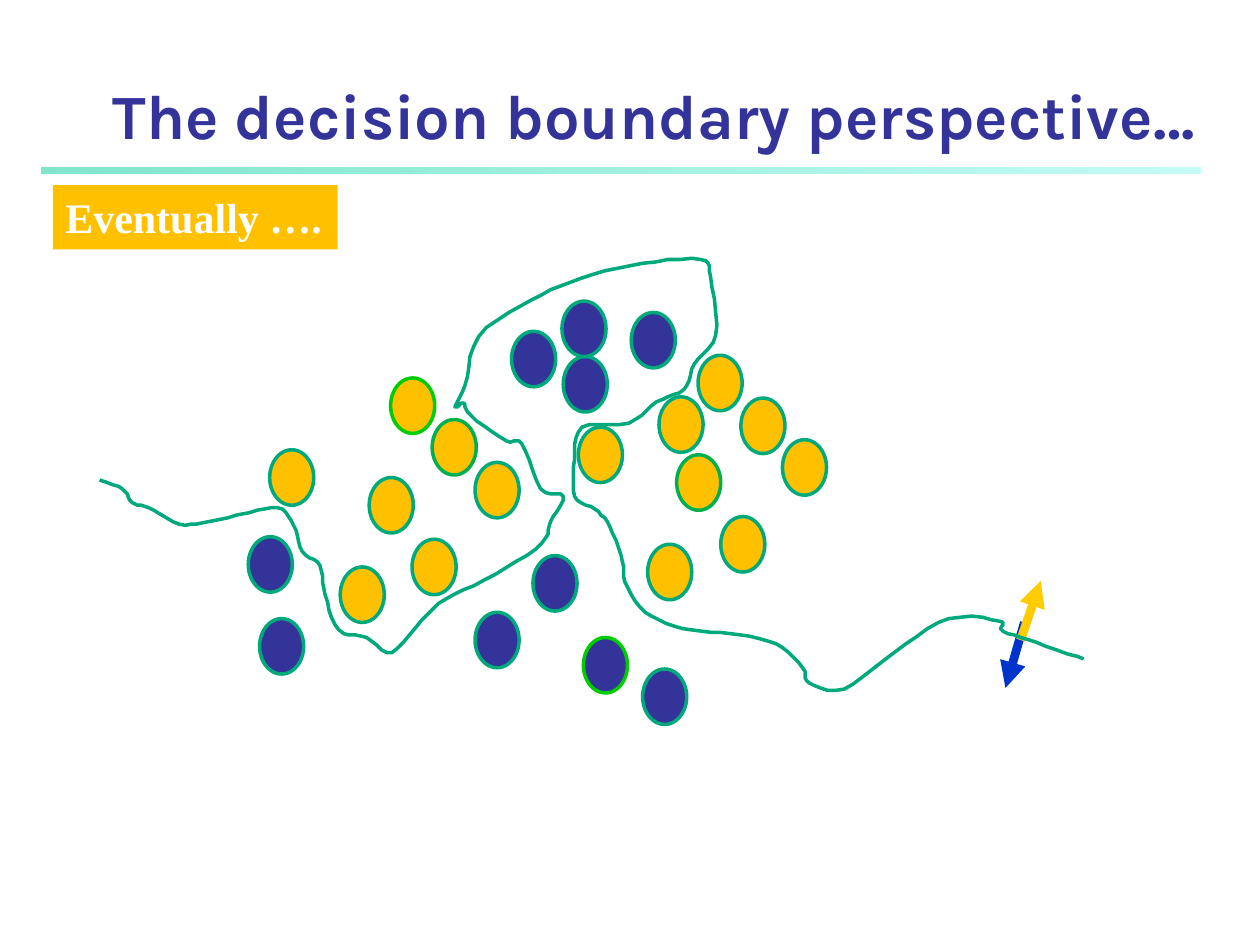
from dataclasses import dataclass

from pptx import Presentation
from pptx.dml.color import RGBColor
from pptx.enum.shapes import MSO_CONNECTOR, MSO_SHAPE
from pptx.enum.text import MSO_ANCHOR, PP_ALIGN
from pptx.oxml.ns import qn
from pptx.util import Inches, Pt
from lxml import etree

RECT, OVAL = MSO_SHAPE.RECTANGLE, MSO_SHAPE.OVAL
STRAIGHT = MSO_CONNECTOR.STRAIGHT
LEFT, CENTER = PP_ALIGN.LEFT, PP_ALIGN.CENTER
TOP, BOTTOM = MSO_ANCHOR.TOP, MSO_ANCHOR.BOTTOM


@dataclass(frozen=True)
class Theme:
    navy: str = "333399"
    gold: str = "FFC000"
    teal: str = "00A97C"
    green: str = "00B050"
    bright_green: str = "00CC00"
    arrow_blue: str = "0033CC"
    arrow_yellow: str = "FFCC00"
    white: str = "FFFFFF"
    # colour and opacity in percent at each end of the title rule
    rule_stops: tuple = (("00CE98", 50), ("8FF9EF", 52))
    title_font: str = "Karla"
    label_font: str = "Times New Roman"
    title_size: int = 36
    label_size: int = 24
    outline: int = 2
    arrow_width: int = 5


@dataclass(frozen=True)
class Box:
    left: float
    top: float
    width: float
    height: float

    def at(self, x, y):
        return Inches(self.left + x), Inches(self.top + y)

    def extent(self):
        return (*self.at(0, 0), Inches(self.width), Inches(self.height))


THEME = Theme()
DOT_WIDTH, DOT_HEIGHT = 0.35, 0.44

# Left and top of each dot, in inches within the plot
GOLD_DOTS = [
    (2.93, 1.79), (3.27, 2.28), (3.77, 1.67), (2.7, 2.5), (2.14, 1.57),
    (5.54, 0.82), (5.88, 1.16), (5.72, 2.1), (6.21, 1.49), (5.14, 2.32),
    (4.59, 1.39), (5.23, 1.15),
]
NAVY_DOTS = [
    (4.06, 0.63), (2.06, 2.91), (1.97, 2.26), (5.01, 0.48), (4.47, 0.83),
    (3.77, 2.86), (4.23, 2.41), (4.46, 0.39), (5.1, 3.31),
]
DOT_GROUPS = [
    (GOLD_DOTS, THEME.gold, THEME.teal),
    (NAVY_DOTS, THEME.navy, THEME.teal),
    ([(3.43, 1.33), (5.37, 1.61)], THEME.gold, THEME.green),
    ([(3.1, 1)], THEME.gold, THEME.bright_green),
    ([(4.63, 3.06)], THEME.navy, THEME.bright_green),
]

ARROWS = [
    ((8.13, 2.94), (7.98, 3.46), THEME.arrow_blue),
    ((8.1, 3.08), (8.26, 2.61), THEME.arrow_yellow),
]

# Bends of the decision boundary, in hundredths of an inch within the plot
BENDS = [
    (79, 181), (97, 188), (105, 199), (118, 203), (142, 216), (166, 214),
    (192, 208), (220, 203), (233, 217), (240, 238), (254, 249), (258, 272),
    (269, 300), (291, 306), (311, 318), (334, 293), (353, 276), (393, 256),
    (430, 231), (437, 214), (447, 194), (429, 188), (414, 152), (402, 150),
    (374, 130), (368, 120), (361, 123), (369, 106), (380, 67), (422, 38),
    (461, 21), (510, 9), (556, 6), (564, 20), (568, 66), (551, 89),
    (543, 109), (521, 119), (499, 136), (462, 139), (456, 165), (456, 194),
    (472, 204), (484, 218), (494, 246), (496, 262), (512, 286), (542, 299),
    (580, 303), (616, 311), (637, 330), (642, 342), (670, 347), (711, 317),
    (753, 291), (793, 293), (796, 301), (823, 310), (860, 323),
]
CURVE_STEPS = 5


def smooth(bends):
    """Points of a Catmull-Rom curve through the bends, after the first one."""
    padded = [bends[0], *bends, bends[-1]]
    for a, b, c, d in zip(padded, padded[1:], padded[2:], padded[3:]):
        for step in range(1, CURVE_STEPS + 1):
            t = step / CURVE_STEPS
            yield tuple(
                q + t / 2 * (r - p + t * (2 * p - 5 * q + 4 * r - s
                                          + t * (3 * (q - r) + s - p)))
                for p, q, r, s in zip(a, b, c, d))


def rgb(value):
    return RGBColor.from_string(value)


def write(shape, text, *, font, size, color, align=LEFT, anchor=TOP, wrap=True):
    frame = shape.text_frame
    frame.word_wrap = wrap
    frame.vertical_anchor = anchor
    paragraph = frame.paragraphs[0]
    paragraph.alignment = align
    run = paragraph.add_run()
    run.text = text
    run.font.name, run.font.size, run.font.bold = font, Pt(size), True
    run.font.color.rgb = rgb(color)


def set_outline(shape, color):
    if color:
        shape.line.color.rgb = rgb(color)
        shape.line.width = Pt(THEME.outline)
    else:
        shape.line.fill.background()


def add_block(slide, kind, box, fill=None, line=None):
    block = slide.shapes.add_shape(kind, *box.extent())
    block.shadow.inherit = False
    if fill:
        block.fill.solid()
        block.fill.fore_color.rgb = rgb(fill)
    set_outline(block, line)
    return block


def draw_title(slide, box):
    title = slide.shapes.add_textbox(*box.extent())
    write(title, "The decision boundary perspective…", font=THEME.title_font,
          size=THEME.title_size, color=THEME.navy, align=CENTER, anchor=BOTTOM)


def draw_rule(slide, box):
    rule = add_block(slide, RECT, box)
    rule.fill.gradient()
    rule.fill.gradient_angle = 0
    for stop, (color, _) in zip(rule.fill.gradient_stops, THEME.rule_stops):
        stop.color.rgb = rgb(color)
    colors = rule._element.spPr.iter(qn("a:srgbClr"))
    for node, (_, opacity) in zip(colors, THEME.rule_stops):
        etree.SubElement(node, qn("a:alpha"), val=str(opacity * 1000))


def draw_label(slide, box):
    label = add_block(slide, RECT, box, THEME.gold)
    write(label, "Eventually ….", font=THEME.label_font,
          size=THEME.label_size, color=THEME.white, wrap=False)


def draw_arrow(slide, box, start, end, color):
    arrow = slide.shapes.add_connector(STRAIGHT, *box.at(*start), *box.at(*end))
    arrow.line.color.rgb = rgb(color)
    arrow.line.width = Pt(THEME.arrow_width)
    etree.SubElement(arrow.line._get_or_add_ln(), qn("a:tailEnd"), type="triangle")
    etree.SubElement(arrow._element.spPr, qn("a:effectLst"))


def draw_boundary(slide, box):
    builder = slide.shapes.build_freeform(*BENDS[0], scale=Inches(0.01))
    builder.add_line_segments(list(smooth(BENDS)), close=False)
    boundary = builder.convert_to_shape(*box.at(0, 0))
    boundary.shadow.inherit = False
    boundary.fill.background()
    set_outline(boundary, THEME.teal)


def draw_plot(slide, box):
    """Scatter of two classes, the boundary between them and its two sides."""
    for dots, fill, line in DOT_GROUPS:
        for x, y in dots:
            dot = Box(box.left + x, box.top + y, DOT_WIDTH, DOT_HEIGHT)
            add_block(slide, OVAL, dot, fill, line)
    for start, end, color in ARROWS:
        draw_arrow(slide, box, start, end, color)
    draw_boundary(slide, box)


def main():
    deck = Presentation()
    deck.slide_width, deck.slide_height = Inches(10), Inches(7.5)
    slide = deck.slides.add_slide(deck.slide_layouts[6])
    draw_rule(slide, Box(0.33, 1.33, 9.2, 0.05))
    draw_title(slide, Box(0.38, 0.44, 9.62, 0.82))
    draw_label(slide, Box(0.42, 1.47, 2.26, 0.51))
    draw_plot(slide, Box(0, 2, 10, 4))
    deck.save("out.pptx")


if __name__ == "__main__":
    main()
